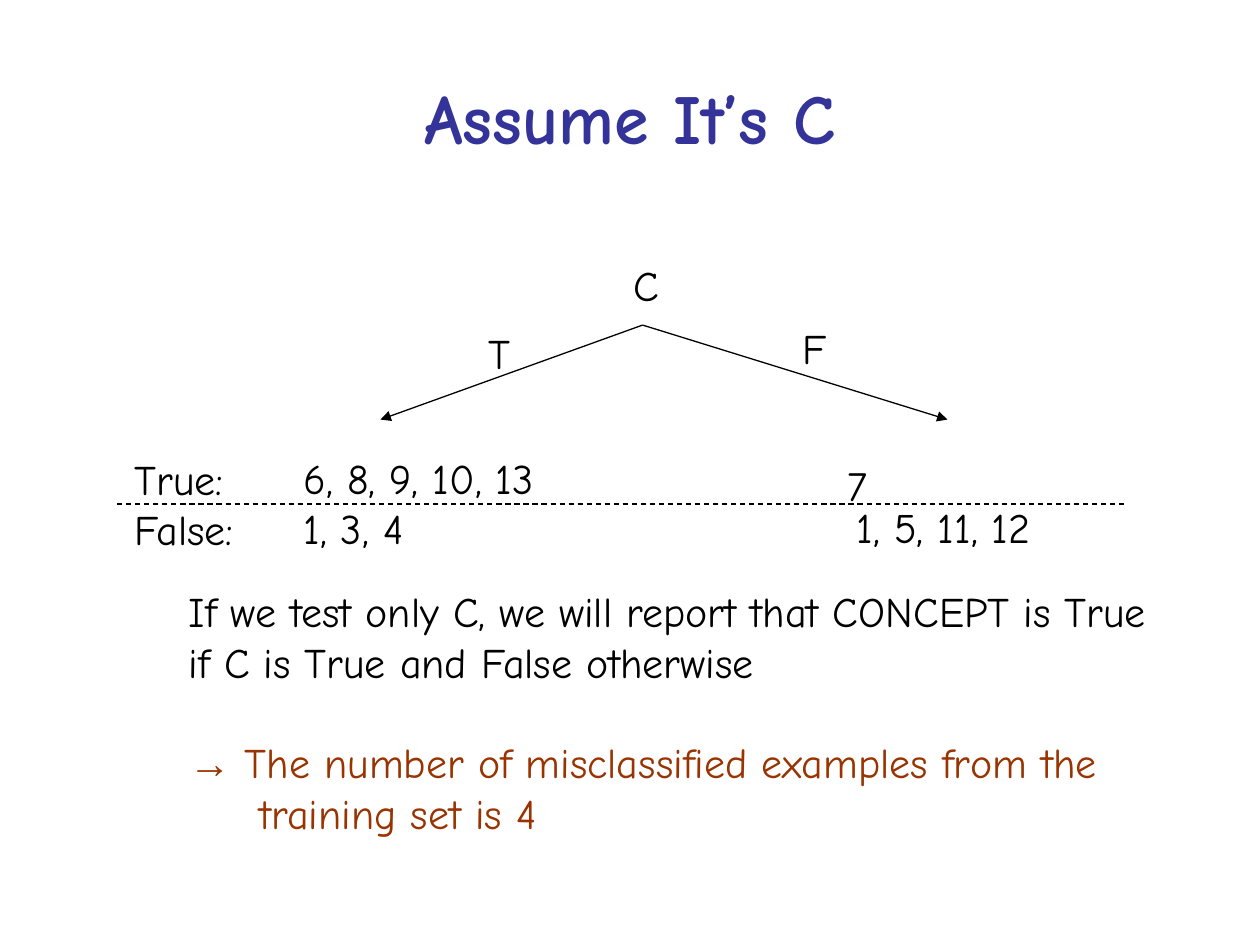
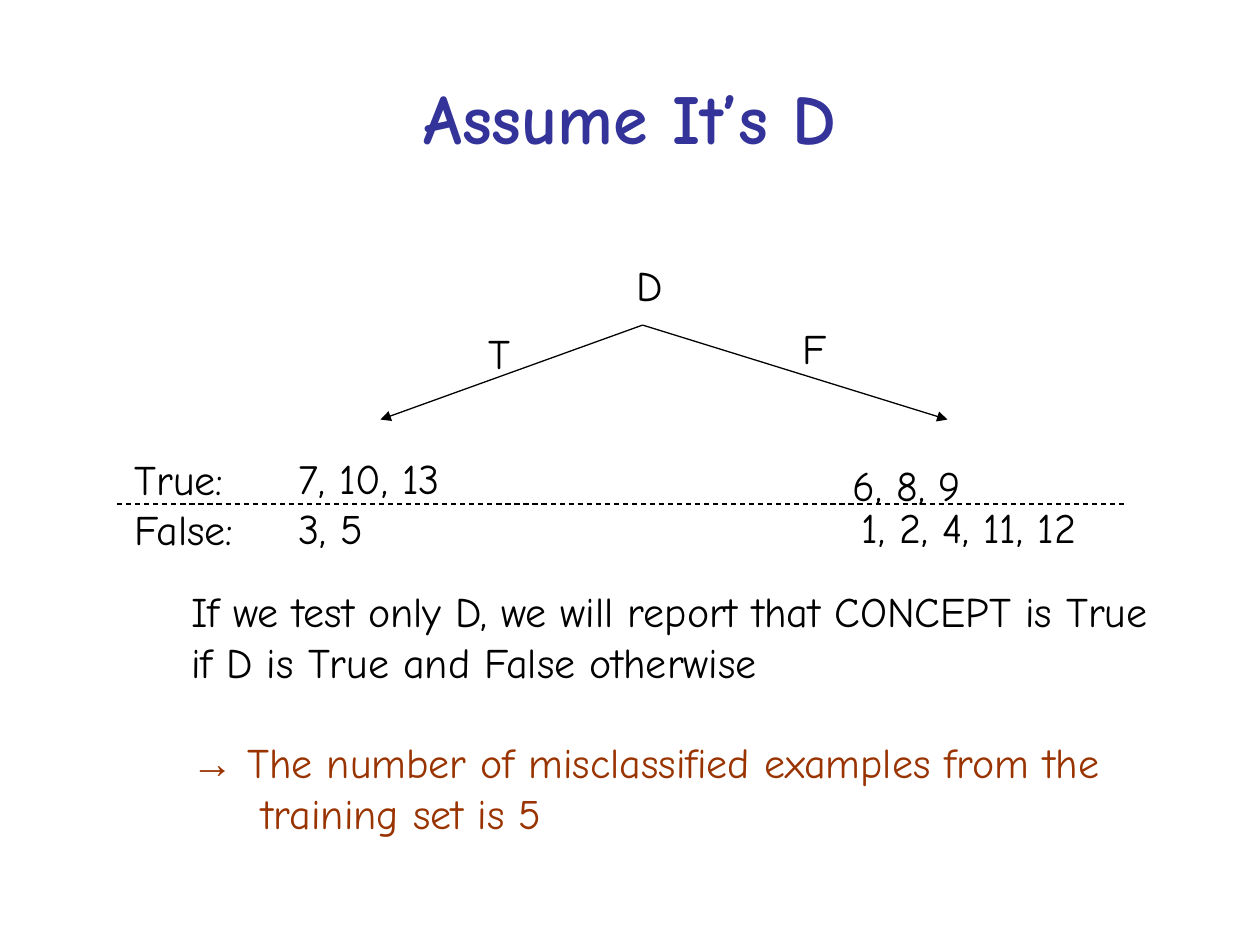
from pptx import Presentation
from pptx.dml.color import RGBColor
from pptx.enum.dml import MSO_LINE
from pptx.enum.shapes import MSO_CONNECTOR
from pptx.enum.text import MSO_ANCHOR, MSO_AUTO_SIZE, PP_ALIGN
from pptx.oxml.ns import qn
from pptx.util import Inches, Pt
from lxml.etree import SubElement

COLORS = {"title": "333399", "ink": "000000", "result": "993300"}
FONT, ARROW_FONT = "Comic Neue", "Arial"
LINE_H = 0.5

# Each list is (left, width, text); lefts are measured from the region's box.
TESTS = [
    {
        "feature": "C", "node": (1.91, 0.4), "conclusion": (1.4, 7.82),
        "true_branch": (1.38, 2.06, ["6, 8, 9, 10, 13", "1, 3, 4"]),
        "false_branch": [(5.7, 0.36, "7"), (5.77, 1.58, "1, 5, 11, 12")],
        "errors": 4,
    },
    {
        "feature": "D", "node": (1.93, 0.41), "conclusion": (1.42, 7.83),
        "true_branch": (1.34, 1.36, ["7, 10, 13", "3, 5"]),
        "false_branch": [(5.74, 1.06, "6, 8, 9"), (5.81, 1.9, "1, 2, 4, 11, 12")],
        "errors": 5,
    },
]


def add_run(p, text, size=24, color="ink", font=FONT, bold=False):
    r = p.add_run()
    r.text = text
    r.font.name, r.font.size, r.font.bold = font, Pt(size), bold
    r.font.color.rgb = RGBColor.from_string(COLORS[color])


def add_box(s, x, y, w, h):
    tf = s.shapes.add_textbox(Inches(x), Inches(y), Inches(w), Inches(h)).text_frame
    tf.word_wrap = False
    tf.auto_size = MSO_AUTO_SIZE.SHAPE_TO_FIT_TEXT
    return tf


def add_label(s, x, y, w, lines):
    """Place one paragraph per line, growing by 0.4 inch for each extra line."""
    tf = add_box(s, x, y, w, LINE_H + 0.4 * (len(lines) - 1))
    for i, line in enumerate(lines):
        add_run(tf.add_paragraph() if i else tf.paragraphs[0], line)


def add_line(s, x1, y1, x2, y2, arrow=False, dash=False):
    line = s.shapes.add_connector(MSO_CONNECTOR.STRAIGHT, Inches(x1), Inches(y1),
                                  Inches(x2), Inches(y2))
    line.line.color.rgb = RGBColor.from_string(COLORS["ink"])
    line.line.width = Pt(0.75)
    if dash:
        line.line.dash_style = MSO_LINE.DASH
    if arrow:
        SubElement(line.line._get_or_add_ln(), qn("a:tailEnd"), type="triangle")
    SubElement(line._element.spPr, qn("a:effectLst"))


def add_title(s, text, x, y, w, h):
    tf = add_box(s, x, y, w, h)
    tf.word_wrap = True
    tf.auto_size = MSO_AUTO_SIZE.NONE
    tf.vertical_anchor = MSO_ANCHOR.MIDDLE
    p = tf.paragraphs[0]
    p.alignment = PP_ALIGN.CENTER
    add_run(p, text, 40, "title", bold=True)


def add_tree(s, test, x, y):
    """Draw the tested feature with its T and F branches."""
    node_x, node_w = test["node"]
    add_label(s, x + node_x, y, node_w, [test["feature"]])
    for leaf_x in (0, 4.5):
        add_line(s, x + 2.08, y + 0.57, x + leaf_x, y + 1.32, arrow=True)
    add_label(s, x + 0.76, y + 0.54, 0.37, ["T"])
    add_label(s, x + 3.25, y + 0.5, 0.39, ["F"])


def add_examples(s, test, x, y):
    """List the examples of each branch above and below a dashed line."""
    add_label(s, x + 0.04, y + 0.01, 1, ["True:", "False:"])
    add_line(s, x, y + 0.46, x + 8, y + 0.46, dash=True)
    left, w, lines = test["true_branch"]
    add_label(s, x + left, y, w, lines)
    for (left, w, line), top in zip(test["false_branch"], (0.06, 0.39)):
        add_label(s, x + left, y + top, w, [line])


def add_conclusion(s, test, x, y, w):
    feature = test["feature"]
    tf = add_box(s, x, y, w, 2.1)
    p = tf.paragraphs[0]
    add_run(p, f"If we test only {feature}, we will report that CONCEPT is True")
    p.add_line_break()
    add_run(p, f"if {feature} is True and False otherwise")

    p = tf.add_paragraph()
    p.space_before = Pt(28.8)
    pPr = p._p.get_or_add_pPr()
    pPr.set("marL", str(Inches(0.56)))
    pPr.set("indent", str(-Inches(0.56)))
    add_run(p, "→", color="result", font=ARROW_FONT)
    add_run(p, " The number of misclassified examples from the", color="result")
    p.add_line_break()
    add_run(p, f"training set is {test['errors']}", color="result")


def add_test_slide(prs, test):
    s = prs.slides.add_slide(prs.slide_layouts[6])
    add_title(s, f"Assume It’s {test['feature']}", 0.5, 0.3, 9, 1.25)
    add_tree(s, test, 3.02, 2.01)
    add_examples(s, test, 0.93, 3.54)
    x, w = test["conclusion"]
    add_conclusion(s, test, x, 4.6, w)


def main():
    prs = Presentation()
    prs.slide_width, prs.slide_height = Inches(10), Inches(7.5)
    for test in TESTS:
        add_test_slide(prs, test)
    prs.save("out.pptx")


if __name__ == "__main__":
    main()
